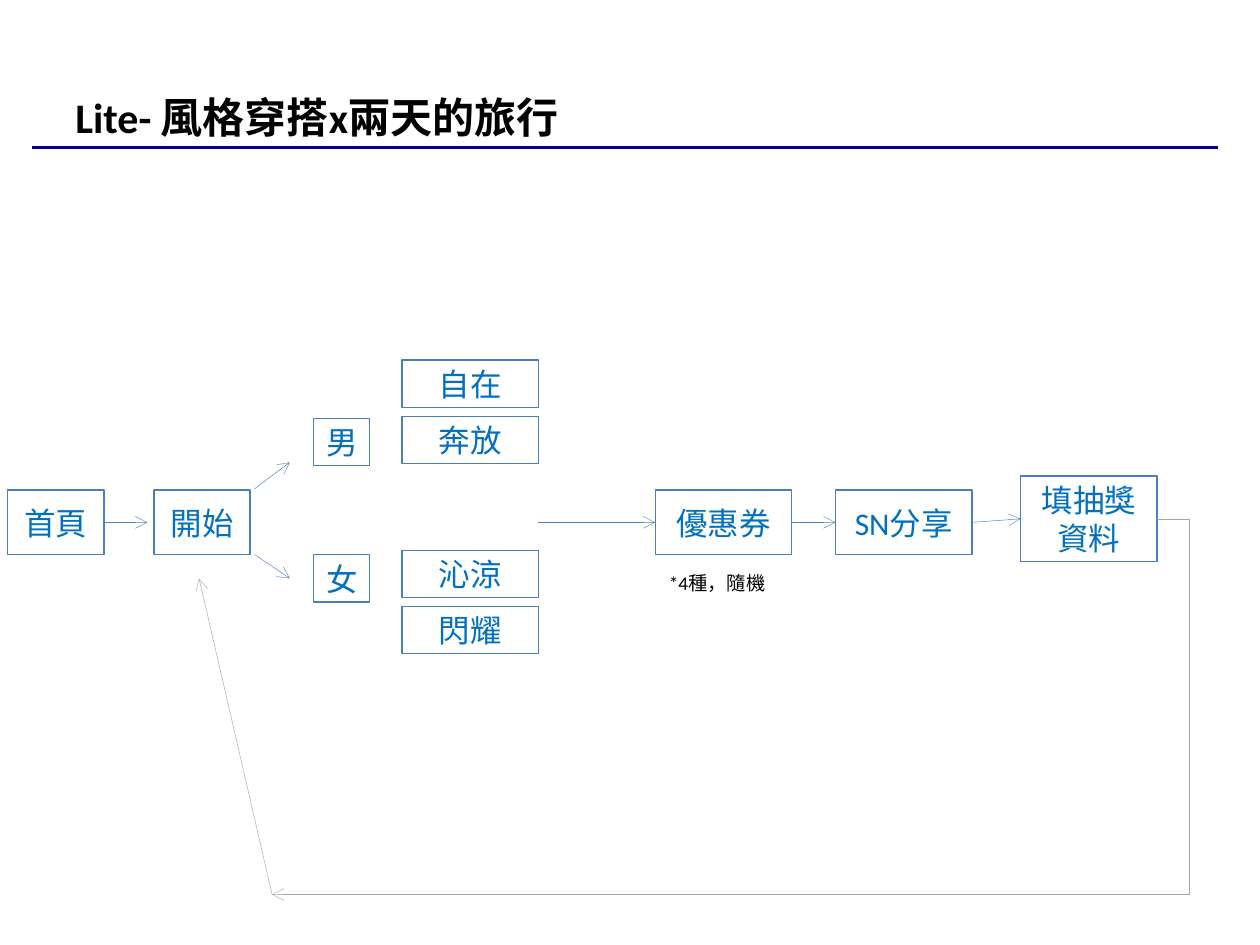
import pptx
import pptx.dml.color
import pptx.enum.shapes
import pptx.enum.text
import pptx.util
from lxml import etree
from pptx.oxml.ns import qn

Pt = pptx.util.Pt
KIND = pptx.enum.shapes.MSO_CONNECTOR
RECT = pptx.enum.shapes.MSO_SHAPE.RECTANGLE
MID = pptx.enum.text.MSO_ANCHOR.MIDDLE
CENTER = pptx.enum.text.PP_ALIGN.CENTER
LEFT, RIGHT = 1, 3
BLUE, GRAY = "4F81BD", "A6A6A6"


def color(code):
    return pptx.dml.color.RGBColor.from_string(code)


def write(shape, text, size, tint, bold=False):
    para = shape.text_frame.paragraphs[0]
    para.text = text
    font = para.font
    font.name, font.size, font.bold = "Calibri", Pt(size), bold
    font.color.rgb = color(tint)
    return para


def label(slide, text, left, top, width, height, size, bold=False):
    shape = slide.shapes.add_textbox(Pt(left), Pt(top), Pt(width), Pt(height))
    shape.text_frame.word_wrap = True
    write(shape, text, size, "000000", bold)
    return shape


def box(slide, text, left, top, width, height):
    shape = slide.shapes.add_shape(RECT, Pt(left), Pt(top), Pt(width), Pt(height))
    shape.shadow.inherit = False
    shape.fill.background()
    shape.line.color.rgb = color("4B7EBC")
    shape.line.width = Pt(0.75)
    frame = shape.text_frame
    frame.word_wrap = True
    frame.vertical_anchor = MID
    frame.margin_left = frame.margin_right = Pt(3.6)
    frame.margin_top = frame.margin_bottom = 0
    write(shape, text, 18, "0070C0").alignment = CENTER
    return shape


def line(slide, start, end, tint, width=0.25, arrow=True, kind=KIND.STRAIGHT):
    conn = slide.shapes.add_connector(kind, *map(Pt, start + end))
    conn.line.color.rgb = color(tint)
    conn.line.width = Pt(width)
    props = conn._element.spPr
    if arrow:
        etree.SubElement(props.find(qn("a:ln")), qn("a:tailEnd"), type="arrow")
    etree.SubElement(props, qn("a:effectLst"))
    return conn


def bend(conn, ratio):
    geom = conn._element.spPr.find(qn("a:prstGeom"))
    guides = geom.find(qn("a:avLst"))
    if guides is None:
        guides = etree.SubElement(geom, qn("a:avLst"))
    etree.SubElement(guides, qn("a:gd"), name="adj1",
                     fmla=f"val {round(ratio * 100000)}")


def main():
    deck = pptx.Presentation()
    deck.slide_width, deck.slide_height = Pt(720), Pt(540)
    slide = deck.slides.add_slide(deck.slide_layouts[6])

    # Title and rule
    line(slide, (18, 84.2), (696, 84.2), "000090", 2, arrow=False)
    title = label(slide, "Lite- 風格穿搭x兩天的旅行", 36, 21.6, 648, 90, 24, True)
    title.text_frame.vertical_anchor = MID

    # Main steps
    home = box(slide, "首頁", 4.5, 280, 55, 37)
    box(slide, "開始", 88, 280, 55, 37)
    coupon = box(slide, "優惠券", 374.4, 280, 78, 37)
    share = box(slide, "SN分享", 477.4, 280, 78, 37)
    form = box(slide, "填抽獎資料", 583.2, 272, 78, 49)

    # Choices by gender and style
    for text, top in (("男", 239), ("女", 317)):
        box(slide, text, 179.3, top, 32, 27)
    for first, pair in ((205.8, ("自在", "奔放")), (314.6, ("沁涼", "閃耀"))):
        for row, text in enumerate(pair):
            box(slide, text, 229.7, first + 32 * row, 78, 27)

    # Arrows along the flow
    line(slide, (145.4, 279.4), (165.6, 264.2), BLUE)
    line(slide, (145.4, 316.8), (165.6, 330.5), BLUE)
    line(slide, (59.5, 298.5), (84.2, 298.5), BLUE).begin_connect(home, RIGHT)
    line(slide, (307.4, 298.5), (374.4, 298.5), BLUE).end_connect(coupon, LEFT)
    for source, target in ((coupon, share), (share, form)):
        step = line(slide, (0, 0), (10, 10), BLUE)
        step.begin_connect(source, RIGHT)
        step.end_connect(target, LEFT)

    # Way back to the start
    back = line(slide, (661.2, 296.5), (155.5, 511.2), GRAY, kind=KIND.ELBOW)
    back.begin_connect(form, RIGHT)
    bend(back, -0.036)
    line(slide, (155.5, 511.2), (113.8, 330.5), GRAY)

    # Note under the coupon
    label(slide, "*4種，隨機", 375.1, 322.6, 78, 21, 11)

    deck.save("out.pptx")


if __name__ == "__main__":
    main()
